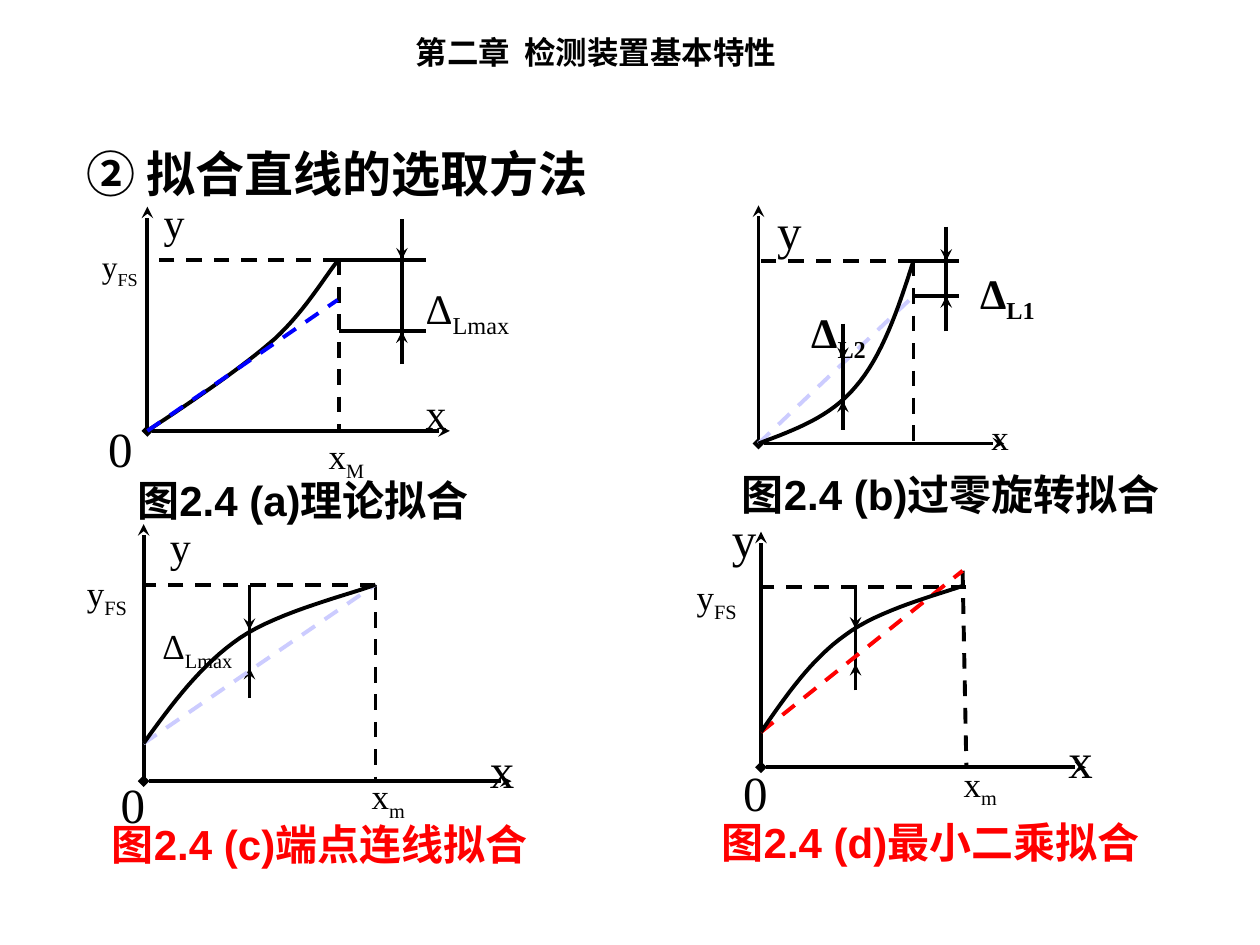
from dataclasses import dataclass

from lxml.etree import SubElement
from pptx import Presentation
from pptx.dml.color import RGBColor as RGB
from pptx.enum.dml import MSO_LINE
from pptx.enum.shapes import MSO_CONNECTOR
from pptx.enum.text import MSO_ANCHOR, MSO_AUTO_SIZE, PP_ALIGN
from pptx.oxml.ns import qn
from pptx.util import Inches, Pt


@dataclass(frozen=True)
class Theme:
    ink: RGB = RGB(0, 0, 0)
    accent: RGB = RGB(255, 0, 0)
    theory: RGB = RGB(0, 0, 255)
    pale: RGB = RGB(204, 204, 255)
    sans: str = "Arial"
    serif: str = "Times New Roman"
    stroke: float = 2.25
    huge: int = 28
    large: int = 24
    medium: int = 20
    small: int = 18


def write(frame, text, sub="", *, font, size, color, bold=False,
          align=PP_ALIGN.LEFT, wrap=True):
    """Fill a text frame with one line, optionally ending in a subscript."""
    frame.word_wrap = wrap
    frame.auto_size = MSO_AUTO_SIZE.NONE
    line = frame.paragraphs[0]
    line.alignment = align
    for part, lowered in ((text, False), (sub, True)):
        if not part:
            continue
        run = line.add_run()
        run.text = part
        run.font.name = font
        run.font.size = Pt(size)
        run.font.bold = bold
        run.font.color.rgb = color
        if lowered:
            run.font._element.set("baseline", "-25000")


def cubic(start, c1, c2, end, steps=16):
    """Points along a Bezier segment, without its start."""
    for i in range(1, steps + 1):
        t = i / steps
        weights = ((1 - t) ** 3, 3 * t * (1 - t) ** 2, 3 * t * t * (1 - t), t ** 3)
        yield tuple(sum(w * p[axis] for w, p in zip(weights, (start, c1, c2, end)))
                    for axis in (0, 1))


class FigureSlide:
    """Places elements on a grid of 100 columns and 75 rows."""

    def __init__(self, deck, theme):
        self.theme = theme
        self.slide = deck.slides.add_slide(deck.slide_layouts[5])
        self.shapes = self.slide.shapes
        self.column = deck.slide_width / 100
        self.row = deck.slide_height / 75

    def at(self, col, row):
        return round(col * self.column), round(row * self.row)

    def title(self, col, row, width, height, text):
        heading = self.shapes.title
        heading.left, heading.top = self.at(col, row)
        heading.width, heading.height = self.at(width, height)
        frame = heading.text_frame
        frame.vertical_anchor = MSO_ANCHOR.BOTTOM
        frame.margin_bottom = Inches(0.02)
        write(frame, text, font=self.theme.sans, size=self.theme.huge,
              color=self.theme.ink, bold=True)

    def text(self, col, row, width, height, text, sub="", **style):
        box = self.shapes.add_textbox(*self.at(col, row), *self.at(width, height))
        write(box.text_frame, text, sub, **style)

    def label(self, col, row, width, text, sub="", size=None, **style):
        size = size or self.theme.huge
        self.text(col, row, width, size * 0.2, text, sub, size=size,
                  font=self.theme.serif, color=self.theme.ink, **style)

    def caption(self, col, row, width, text, color=None, **style):
        self.text(col, row, width, 5, text, font=self.theme.sans, bold=True,
                  size=self.theme.large, color=color or self.theme.ink, **style)

    def line(self, start, end, color=None, dashed=False, head=None, tail=None):
        rule = self.shapes.add_connector(
            MSO_CONNECTOR.STRAIGHT, *self.at(*start), *self.at(*end))
        rule.line.color.rgb = color or self.theme.ink
        rule.line.width = Pt(self.theme.stroke)
        if dashed:
            rule.line.dash_style = MSO_LINE.DASH
        properties = rule._element.spPr
        outline = properties.find(qn("a:ln"))
        for tag, kind in (("a:headEnd", head), ("a:tailEnd", tail)):
            if kind:
                SubElement(outline, qn(tag), type=kind)
        SubElement(properties, qn("a:effectLst"))

    def axes(self, origin, top, right):
        self.line(origin, (origin[0], top), tail="stealth")
        self.line(origin, (right, origin[1]), head="diamond", tail="stealth")

    def guides(self, origin, corner):
        """Dashed lines from the full-scale point to both axes."""
        self.line(corner, (corner[0], origin[1]), dashed=True)
        self.line(corner, (origin[0], corner[1]), dashed=True)

    def curve(self, start, *segments):
        points = [start]
        for segment in segments:
            points.extend(cubic(points[-1], *segment))
        outline = self.shapes.build_freeform(*self.at(*start), scale=1.0)
        outline.add_line_segments([self.at(*p) for p in points[1:]], close=False)
        shape = outline.convert_to_shape()
        shape.shadow.inherit = False
        shape.fill.background()
        shape.line.color.rgb = self.theme.ink
        shape.line.width = Pt(self.theme.stroke)

    def gauge(self, col, top, upper, lower, bottom):
        """Deviation mark: arrows meet the levels upper and lower."""
        self.line((col, top), (col, bottom))
        self.line((col, top), (col, upper), tail="stealth")
        self.line((col, bottom), (col, lower), tail="stealth")

    def ticks(self, left, right, *rows):
        for row in rows:
            self.line((left, row), (right, row))


def theoretical_fit(page, theme):
    origin, corner = (11.7, 34.2), (26.9, 20.6)
    page.axes(origin, 16.4, 35.7)
    page.curve(origin, ((15.5, 31.7), (19.3, 29.1), (21.8, 26.9)),
               ((24.3, 24.6), (26, 21.6), corner))
    page.guides(origin, corner)
    page.line(origin, (26.8, 23.8), theme.theory, dashed=True)
    page.ticks(corner[0], 33.8, corner[1], 26.3)
    page.gauge(31.9, 17.4, 20.6, 26.3, 28.9)
    page.label(12, 15.1, 3.6, "y", size=theme.large, wrap=False)
    page.label(32.8, 30.3, 3.6, "x", size=theme.large, wrap=False)
    page.label(32.8, 21.9, 8.6, "Δ", "Lmax", size=theme.large, wrap=False)
    page.label(7.1, 19.1, 5.1, "y", "FS", size=theme.small)
    page.label(7.6, 32.7, 5.1, "0")
    page.label(25.1, 34, 5.2, "x", "M", size=theme.medium)
    page.caption(7.1, 37.2, 33.9, "图2.4 (a)理论拟合", align=PP_ALIGN.CENTER)


def zero_rotation_fit(page, theme):
    origin, corner = (60.2, 35.2), (72.5, 20.7)
    page.axes(origin, 16.3, 79.7)
    page.guides(origin, corner)
    page.line(origin, (72.5, 23.5), theme.pale, dashed=True)
    page.curve(origin, ((63.1, 34.1), (65.9, 33.1), (67.9, 30.7)),
               ((70, 28.3), (71.3, 24.5), corner))
    page.gauge(66.9, 25.7, 28.5, 31.8, 34.1)
    page.ticks(corner[0], 76.1, corner[1], 23.5)
    page.gauge(75.1, 18, 20.7, 23.5, 26.3)
    page.label(77.7, 32.5, 2.9, "x", size=theme.medium)
    page.label(60.7, 15.4, 3.9, "y", wrap=False)
    for col, row, index in ((63.4, 23.8, "L2"), (76.8, 20.7, "L1")):
        page.label(col, row, 6.3, "Δ", index, size=theme.large, bold=True, wrap=False)
    page.caption(57.9, 36.7, 37, "图2.4 (b)过零旋转拟合")


def endpoint_fit(page, theme):
    origin, corner, start = (11.4, 62), (29.8, 46.4), (11.4, 59)
    page.axes(origin, 41.6, 40.6)
    page.guides(origin, corner)
    page.gauge(19.8, 46.4, 50, 53, 55.4)
    page.line(start, corner, theme.pale, dashed=True)
    page.curve(start, ((13.7, 55.8), (16, 52.7), (19.1, 50.6)),
               ((22.2, 48.5), (28.1, 47.1), corner))
    page.label(12.5, 40.8, 3.6, "y", size=theme.large, wrap=False)
    page.label(37.9, 58.2, 3.9, "x", wrap=False)
    page.label(11.9, 49.1, 9.4, "Δ", "Lmax", size=theme.medium)
    page.label(5.9, 44.9, 5.5, "y", "FS", size=theme.medium)
    page.label(28.5, 61, 5.5, "x", "m", size=theme.medium)
    page.label(8.6, 61, 5.5, "0")
    page.caption(7.9, 64.5, 41, "图2.4 (c)端点连线拟合", theme.accent)


def least_squares_fit(page, theme):
    origin, start, fit_end = (60.4, 60.9), (60.4, 58.1), (76.4, 45.3)
    page.axes(origin, 42.2, 86.2)
    page.line(fit_end, (76.7, 60.9), dashed=True)
    page.line((76.7, 46.6), (60.4, 46.6), dashed=True)
    page.gauge(67.9, 46.6, 49.9, 52.7, 54.8)
    page.line(start, fit_end, theme.accent, dashed=True)
    page.curve(start, ((62.4, 55.2), (64.4, 52.3), (67.1, 50.4)),
               ((69.7, 48.4), (74.8, 47.1), (76.4, 46.5)))
    page.label(57.1, 39.9, 3.9, "y", wrap=False)
    page.label(83.8, 57.4, 3.9, "x", wrap=False)
    page.label(54.3, 45.2, 6.1, "y", "FS", size=theme.medium)
    page.label(75.5, 60, 4.9, "x", "m", size=theme.medium)
    page.label(58, 60, 4.9, "0")
    page.caption(56.3, 64.3, 37, "图2.4 (d)最小二乘拟合", theme.accent)


def main():
    deck = Presentation()
    deck.slide_width, deck.slide_height = Inches(10), Inches(7.5)
    theme = Theme()
    page = FigureSlide(deck, theme)
    page.title(5.9, 9.2, 61.7, 7.1, "② 拟合直线的选取方法")
    page.text(32, 2.1, 30.6, 4, "第二章  检测装置基本特性", font=theme.sans,
              size=theme.small, color=theme.ink, bold=True, wrap=False)
    for draw in (theoretical_fit, zero_rotation_fit, endpoint_fit, least_squares_fit):
        draw(page, theme)
    deck.save("out.pptx")


if __name__ == "__main__":
    main()
